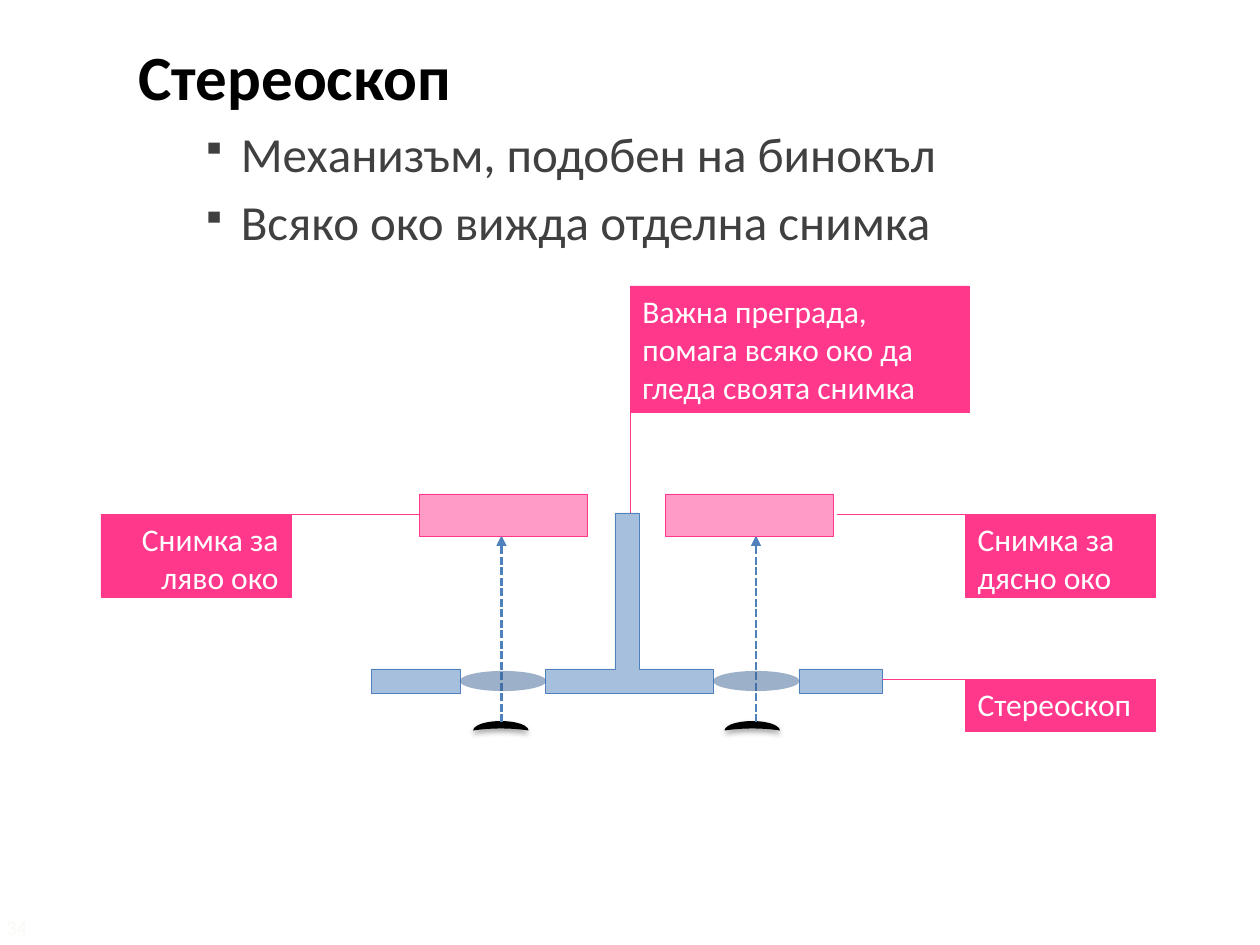
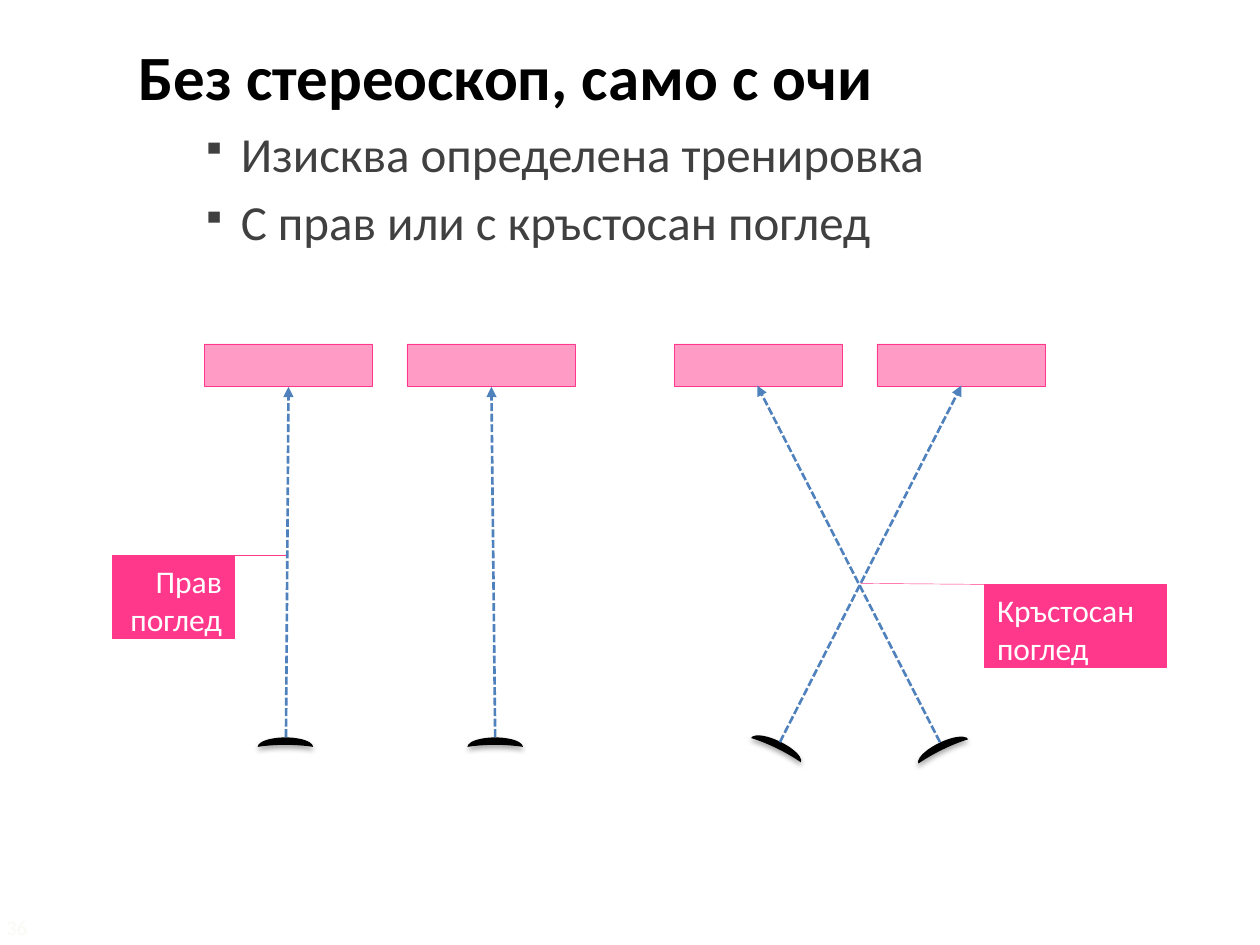
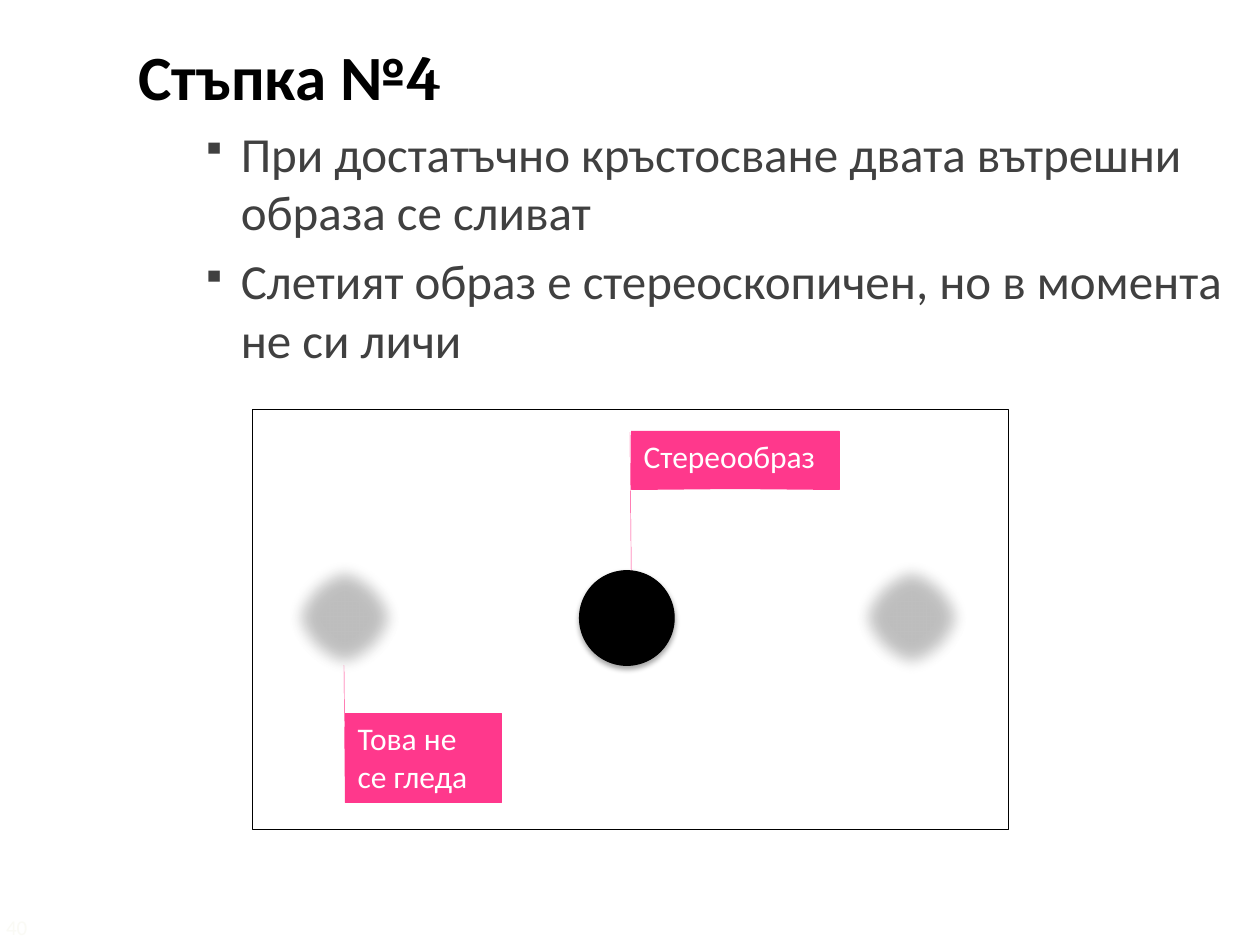
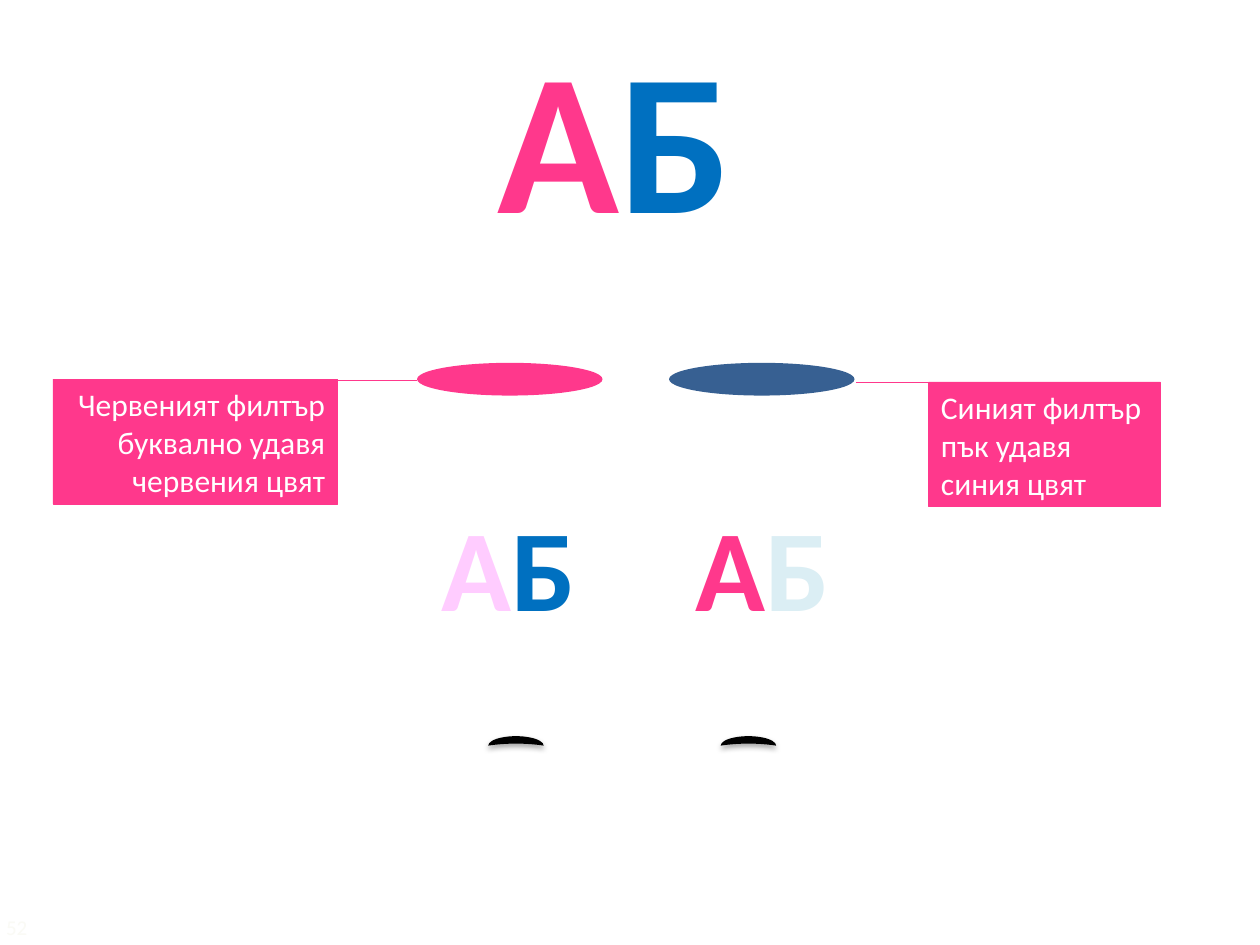
from dataclasses import dataclass

from lxml import etree
from pptx import Presentation
from pptx.dml.color import RGBColor
from pptx.enum.dml import MSO_LINE
from pptx.enum.shapes import MSO_CONNECTOR, MSO_SHAPE
from pptx.enum.text import MSO_ANCHOR, PP_ALIGN
from pptx.oxml.ns import qn
from pptx.util import Pt

RECTANGLE, OVAL, MOON = MSO_SHAPE.RECTANGLE, MSO_SHAPE.OVAL, MSO_SHAPE.MOON
STRAIGHT = MSO_CONNECTOR.STRAIGHT
DASHED = MSO_LINE.SQUARE_DOT
LEFT, CENTER, RIGHT = PP_ALIGN.LEFT, PP_ALIGN.CENTER, PP_ALIGN.RIGHT
TOP = MSO_ANCHOR.TOP


@dataclass(frozen=True)
class Theme:
    font: str = "Calibri"
    digit_font: str = "Cambria"
    black: str = "000000"
    white: str = "FFFFFF"
    gray: str = "404040"
    pink: str = "FF388C"
    pale_pink: str = "FFCCFF"
    blue: str = "0070C0"
    pale_blue: str = "DBEEF4"
    sight: str = "4F81BD"
    lens: str = "376092"
    number: str = "FAFAF5"
    title_size: float = 36
    bullet_size: float = 28
    label_size: float = 18
    number_size: float = 12
    large_letters: float = 115
    small_letters: float = 66
    hairline: float = 0.25


class Deck:
    def __init__(self, theme):
        self.theme = theme
        self.presentation = Presentation()
        self.presentation.slide_width = Pt(720)
        self.presentation.slide_height = Pt(540)
        self.slide = None

    def start_slide(self, number):
        self.slide = self.presentation.slides.add_slide(self.presentation.slide_layouts[6])
        frame = self.text_box(-3.6, 519, 60, 22)
        self.run(frame.paragraphs[0], number, self.theme.number_size, self.theme.number)

    def run(self, paragraph, text, size, color, bold=False, font=None):
        run = paragraph.add_run()
        run.text = text
        run.font.name = font or self.theme.font
        run.font.size = Pt(size)
        run.font.bold = bold
        run.font.color.rgb = RGBColor.from_string(color)

    def text_box(self, left, top, width, height):
        shape = self.slide.shapes.add_textbox(Pt(left), Pt(top), Pt(width), Pt(height))
        shape.text_frame.word_wrap = True
        return shape.text_frame

    def body(self, title, bullets, digit=""):
        theme = self.theme
        frame = self.text_box(72, 18, 642.24, 516.24)
        self.run(frame.paragraphs[0], title, theme.title_size, theme.black, True)
        if digit:
            self.run(frame.paragraphs[0], digit, theme.title_size, theme.black, True, theme.digit_font)
        for text in bullets:
            paragraph = frame.add_paragraph()
            paragraph.level = 1
            paragraph.space_before = Pt(5.6)
            properties = paragraph._p.get_or_add_pPr()
            properties.set("marL", str(Pt(58.5)))
            properties.set("indent", str(Pt(-22.5)))
            bullet_color = etree.SubElement(properties, qn("a:buClr"))
            etree.SubElement(bullet_color, qn("a:srgbClr"), val=theme.gray)
            etree.SubElement(properties, qn("a:buSzPct"), val="70000")
            etree.SubElement(properties, qn("a:buChar"), char="▪")
            self.run(paragraph, text, theme.bullet_size, theme.gray)

    def letters(self, left, top, width, height, size, colors, align):
        paragraph = self.text_box(left, top, width, height).paragraphs[0]
        paragraph.alignment = align
        for letter, color in zip("АБ", colors):
            self.run(paragraph, letter, size, color, True)

    def paint(self, shape, fill=None, alpha=100, line=None, line_width=None):
        shape.shadow.inherit = False
        if fill:
            shape.fill.solid()
            shape.fill.fore_color.rgb = RGBColor.from_string(fill)
            if alpha < 100:
                color = shape.element.spPr.find(qn("a:solidFill"))[0]
                etree.SubElement(color, qn("a:alpha"), val=str(alpha * 1000))
        else:
            shape.fill.background()
        if line:
            shape.line.color.rgb = RGBColor.from_string(line)
            shape.line.width = Pt(line_width or self.theme.hairline)
        else:
            shape.line.fill.background()

    def shape(self, kind, left, top, width, height, **style):
        shape = self.slide.shapes.add_shape(kind, Pt(left), Pt(top), Pt(width), Pt(height))
        self.paint(shape, **style)
        return shape

    def cast_shadow(self, shape):
        effects = shape.element.spPr.find(qn("a:effectLst"))
        shadow = etree.SubElement(effects, qn("a:outerShdw"), blurRad=str(Pt(3.1)),
                                  dist=str(Pt(1.8)), dir="5400000", rotWithShape="0")
        color = etree.SubElement(shadow, qn("a:srgbClr"), val=self.theme.black)
        etree.SubElement(color, qn("a:alpha"), val="35000")

    def soften(self, shape, radius):
        effects = shape.element.spPr.find(qn("a:effectLst"))
        etree.SubElement(effects, qn("a:softEdge"), rad=str(Pt(radius)))

    def eye(self, center_x, center_y, rotation=90):
        width, height = 5.4, 31.68
        shape = self.shape(MOON, center_x - width / 2, center_y - height / 2, width, height,
                           fill=self.theme.black)
        shape.adjustments[0] = 0.787
        shape.rotation = rotation
        self.cast_shadow(shape)

    def photo(self, left, top):
        self.shape(RECTANGLE, left, top, 96, 24, fill=self.theme.pink, alpha=50, line=self.theme.pink)

    def blurred_dot(self, left, top):
        shape = self.shape(OVAL, left, top, 69.84, 69.84, fill=self.theme.black, alpha=20)
        self.cast_shadow(shape)
        self.soften(shape, 9)

    def polygons(self, outlines, **style):
        points = [[(Pt(x), Pt(y)) for x, y in outline] for outline in outlines]
        builder = self.slide.shapes.build_freeform(*points[0][0])
        for index, outline in enumerate(points):
            if index:
                builder.move_to(*outline[0])
            builder.add_line_segments(outline[1:], close=True)
        self.paint(builder.convert_to_shape(), **style)

    def line(self, start, end, color, width):
        connector = self.slide.shapes.add_connector(STRAIGHT, *map(Pt, start + end))
        connector.line.color.rgb = RGBColor.from_string(color)
        connector.line.width = Pt(width)
        etree.SubElement(connector.element.spPr, qn("a:effectLst"))
        return connector

    def sight_line(self, start, end):
        connector = self.line(start, end, self.theme.sight, 1.5)
        connector.line.dash_style = DASHED
        outline = connector.element.spPr.find(qn("a:ln"))
        etree.SubElement(outline, qn("a:tailEnd"), type="triangle")

    def callout(self, text, box, start, end, align=LEFT):
        theme = self.theme
        shape = self.shape(RECTANGLE, *box, fill=theme.pink, line=theme.pink)
        frame = shape.text_frame
        frame.word_wrap = True
        frame.vertical_anchor = TOP
        frame.paragraphs[0].alignment = align
        self.run(frame.paragraphs[0], text, theme.label_size, theme.white)
        self.line(start, end, theme.pink, theme.hairline)


def stereoscope_slide(deck):
    theme = deck.theme
    deck.start_slide("34")
    deck.body("Стереоскоп", ["Механизъм, подобен на бинокъл", "Всяко око вижда отделна снимка"])
    for eye_x in (429.84, 286.2):
        deck.eye(eye_x, 414.72)
    for sight_x in (286.56, 432):
        deck.sight_line((sight_x, 412.8), (sight_x, 306))
    top, bottom = 382.32, 396
    left_bar, right_bar = (
        [(left, top), (right, top), (right, bottom), (left, bottom)]
        for left, right in ((212.4, 262.8), (456.48, 504))
    )
    barrier = [(351.36, 293.04), (365.04, 293.04), (365.04, top), (407.52, top),
               (407.52, bottom), (311.76, bottom), (311.76, top), (351.36, top)]
    deck.polygons([right_bar, left_bar, barrier], fill=theme.sight, alpha=50, line=theme.sight)
    for lens_x in (262.8, 407.52):
        deck.shape(OVAL, lens_x, 383.4, 49.32, 11.52, fill=theme.lens, alpha=49)
    for photo_x in (239.76, 380.16):
        deck.photo(photo_x, 282.24)
    deck.callout("Снимка за ляво око", (57.6, 293.76, 108.72, 47.52),
                 (239.76, 293.76), (57.6, 293.76), RIGHT)
    deck.callout("Снимка за дясно око", (551.52, 293.76, 108.72, 47.52),
                 (660.24, 293.76), (478.08, 293.76))
    deck.callout("Важна преграда, помага всяко око да гледа своята снимка",
                 (360, 163.44, 193.68, 72), (360, 163.44), (360, 293.04))
    deck.callout("Стереоскоп", (551.52, 388.08, 108.72, 29.52), (660.24, 388.08), (504, 388.08))


def naked_eye_slide(deck):
    deck.start_slide("36")
    deck.body("Без стереоскоп, само с очи",
              ["Изисква определена тренировка", "С прав или с кръстосан поглед"])
    for eye_x in (282.96, 163.08):
        deck.eye(eye_x, 424.08)
    deck.sight_line((163.44, 421.2), (164.88, 221.04))
    deck.sight_line((282.96, 421.2), (280.8, 221.04))
    for photo_x in (116.64, 232.56, 385.2, 501.12):
        deck.photo(photo_x, 196.56)
    deck.callout("Прав поглед", (64.08, 317.52, 69.84, 47.52),
                 (163.44, 317.52), (64.08, 317.52), RIGHT)
    deck.eye(537.84, 426.96, 64)
    deck.eye(444.6, 426.24, 116)
    deck.sight_line((445.68, 424.08), (549.36, 220.32))
    deck.sight_line((537.12, 424.08), (432.72, 220.32))
    deck.callout("Кръстосан поглед", (562.68, 334.08, 103.68, 47.52),
                 (666.72, 334.8), (491.76, 333.36))


def merged_image_slide(deck):
    theme = deck.theme
    deck.start_slide("40")
    deck.body("Стъпка №", ["При достатъчно кръстосване двата вътрешни образа се сливат",
                           "Слетият образ е стереоскопичен, но в момента не си личи"], digit="4")
    deck.shape(RECTANGLE, 144, 234, 432, 240, line=theme.black)
    deck.callout("Стереообраз", (360.72, 246.24, 118.8, 33.12), (360, 246.96), (360.72, 326.16))
    deck.blurred_dot(162, 317.52)
    dot = deck.shape(OVAL, 331.2, 326.16, 54, 54, fill=theme.black, line=theme.black, line_width=0.75)
    deck.cast_shadow(dot)
    deck.blurred_dot(486, 317.52)
    deck.callout("Това не се гледа", (197.28, 407.52, 89.28, 51.12),
                 (196.56, 380.16), (197.28, 458.64))


def color_filter_slide(deck):
    theme = deck.theme
    deck.start_slide("52")
    deck.letters(277.2, 3.6, 171.36, 146.88, theme.large_letters, (theme.pink, theme.blue), LEFT)
    for eye_x in (427.68, 294.84):
        deck.eye(eye_x, 423.36)
    deck.callout("Синият филтър пък удавя синия цвят", (530.64, 218.16, 132.48, 71.28),
                 (663.12, 218.16), (488.88, 218.16))
    for filter_x, color in ((238.32, theme.pink), (382.32, theme.lens)):
        deck.shape(OVAL, filter_x, 207.36, 106, 18.72, fill=color)
    for letters_x, colors in ((349.92, (theme.pink, theme.pale_blue)),
                              (205.2, (theme.pale_pink, theme.blue))):
        deck.letters(letters_x, 280.08, 171.36, 73.44, theme.small_letters, colors, CENTER)
    deck.callout("Червеният филтър буквално удавя червения цвят", (30.24, 216.72, 162.72, 71.28),
                 (238.32, 217.44), (30.24, 217.44), RIGHT)


def main():
    deck = Deck(Theme())
    stereoscope_slide(deck)
    naked_eye_slide(deck)
    merged_image_slide(deck)
    color_filter_slide(deck)
    deck.presentation.save("out.pptx")


if __name__ == "__main__":
    main()
